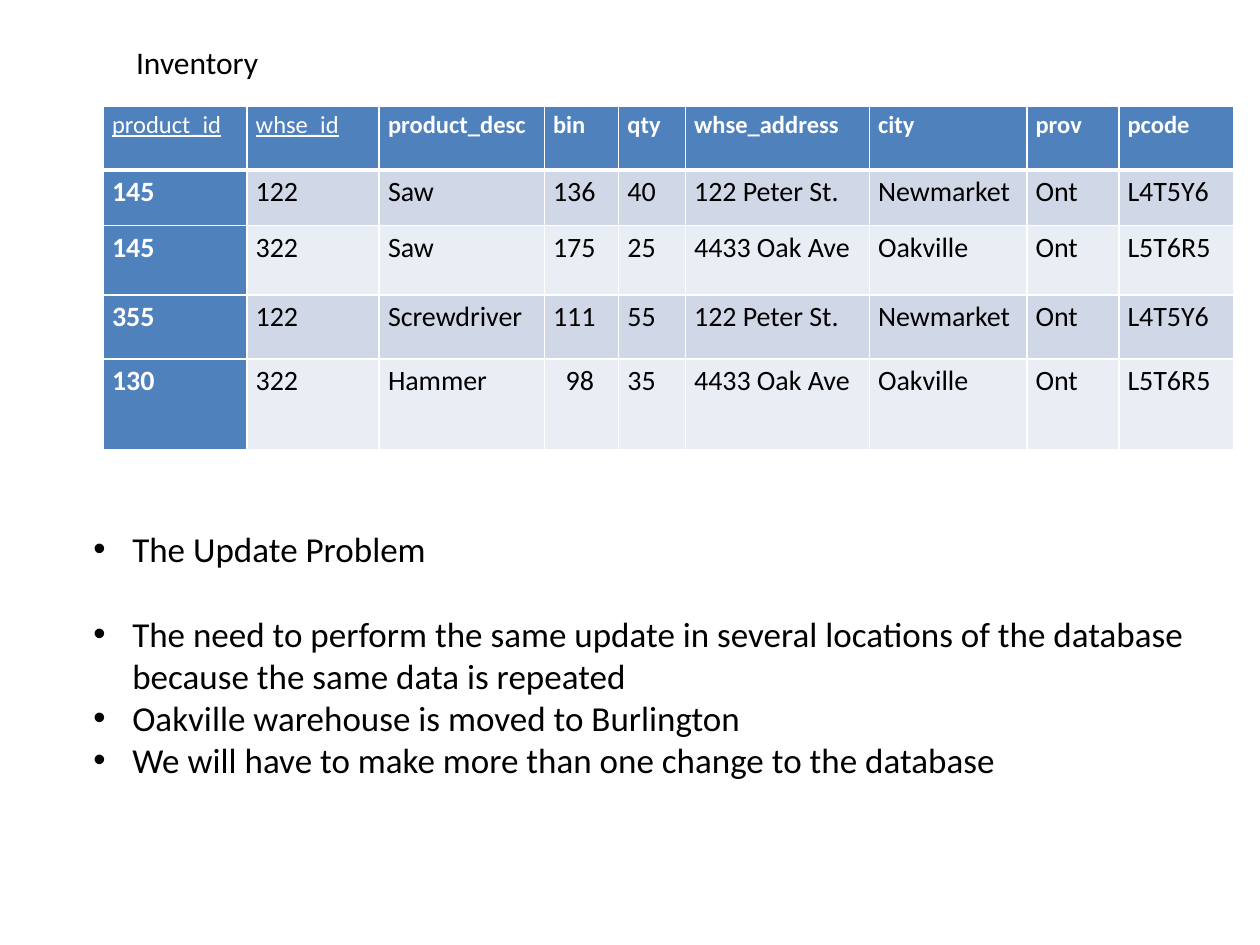
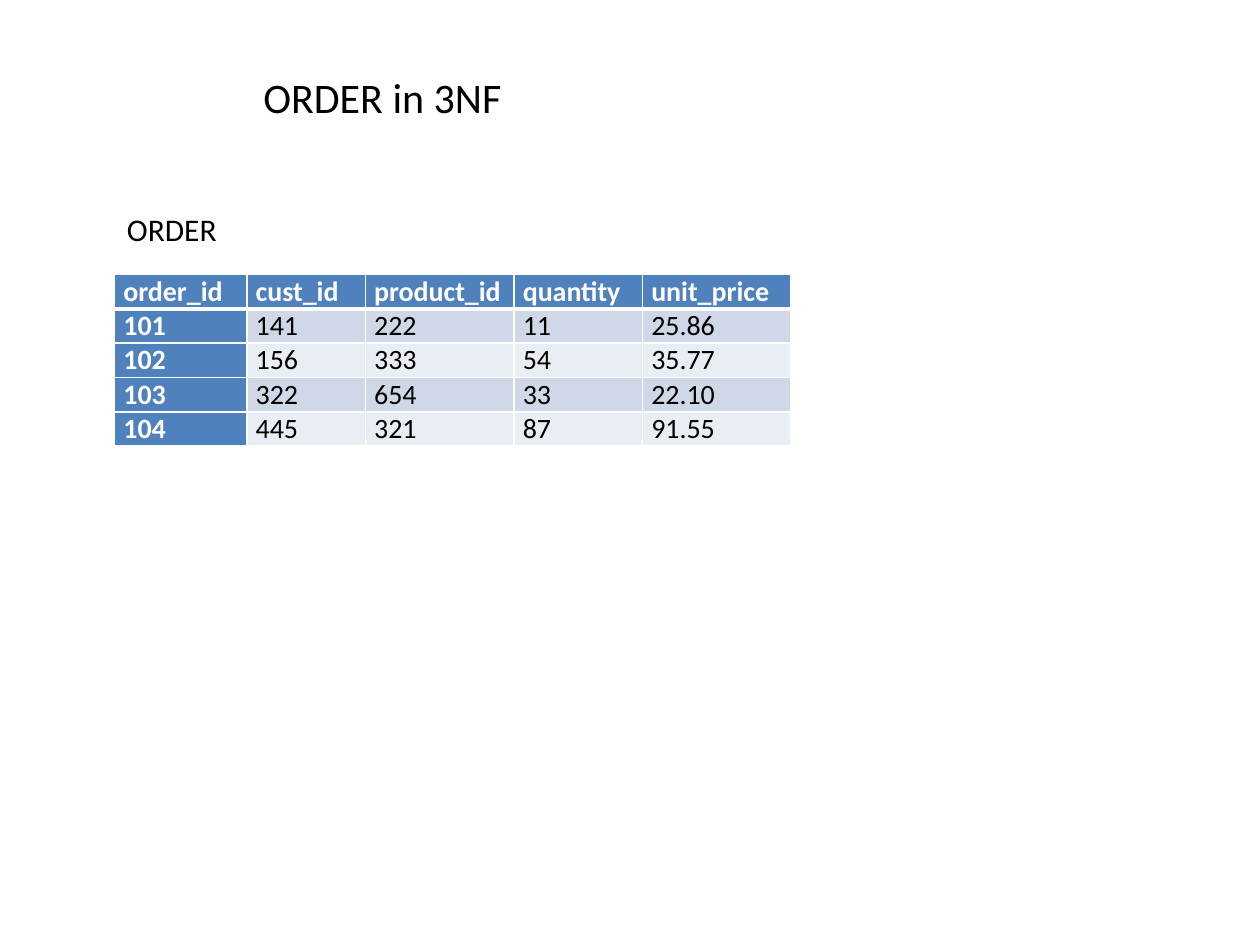
from lxml import etree
from pptx import Presentation
from pptx.dml.color import RGBColor
from pptx.enum.text import MSO_ANCHOR, MSO_AUTO_SIZE, PP_ALIGN
from pptx.oxml.ns import qn
from pptx.util import Inches, Pt

FONT = "Calibri"
BLACK, WHITE, BLUE = "000000", "FFFFFF", "4F81BD"
BANDS = ["D0D8E8", "E9EDF4"]

INVENTORY = dict(
    at=(0.82, 0.84),
    widths=[1.14, 1.05, 1.31, 0.59, 0.53, 1.46, 1.25, 0.73, 0.91],
    heights=[0.51, 0.44, 0.55, 0.51, 0.72],
    head_size=14, spacing=1.15, keys=["product_id", "whse_id"],
    indents={"98": 0.1},
    rows=[
        ["product_id", "whse_id", "product_desc", "bin", "qty",
         "whse_address", "city", "prov", "pcode"],
        ["145", "122", "Saw", "136", "40", "122 Peter St.", "Newmarket", "Ont", "L4T5Y6"],
        ["145", "322", "Saw", "175", "25", "4433 Oak Ave", "Oakville", "Ont", "L5T6R5"],
        ["355", "122", "Screwdriver", "111", "55", "122 Peter St.", "Newmarket", "Ont", "L4T5Y6"],
        ["130", "322", "Hammer", "98", "35", "4433 Oak Ave", "Oakville", "Ont", "L5T6R5"],
    ])

ORDER = dict(
    at=(0.91, 2.18),
    widths=[1.05, 0.94, 1.18, 1.02, 1.18],
    heights=[1.33 / 5] * 5,
    head_size=16, spacing=1, keys=[], indents={},
    rows=[
        ["order_id", "cust_id", "product_id", "quantity", "unit_price"],
        ["101", "141", "222", "11", "25.86"],
        ["102", "156", "333", "54", "35.77"],
        ["103", "322", "654", "33", "22.10"],
        ["104", "445", "321", "87", "91.55"],
    ])

UPDATE_PROBLEM = [
    ("The Update Problem", 0),
    ("The need to perform the same update in several locations of the database "
     "because the same data is repeated", 24),
    ("Oakville warehouse is moved to Burlington", 0),
    ("We will have to make more than one change to the database", 0),
]


def rgb(color):
    return RGBColor.from_string(color)


def add_run(p, text, size, color=BLACK, bold=False, underline=False):
    r = p.add_run()
    r.text = text
    f = r.font
    f.name, f.size, f.bold, f.underline = FONT, Pt(size), bold, underline
    f.color.rgb = rgb(color)


def place(sp, at, wrap=True, anchor=MSO_ANCHOR.TOP):
    sp.left, sp.top, sp.width, sp.height = map(Inches, at)
    tf = sp.text_frame
    tf.word_wrap, tf.vertical_anchor = wrap, anchor
    tf.auto_size = MSO_AUTO_SIZE.NONE
    return tf


def set_title(s, text, at, size):
    p = place(s.shapes.title, at, wrap=False).paragraphs[0]
    p.alignment = PP_ALIGN.LEFT
    add_run(p, text, size)


def set_bullets(sp, items, at, size):
    tf = place(sp, at)
    for i, (text, before) in enumerate(items):
        p = tf.add_paragraph() if i else tf.paragraphs[0]
        pPr = p._p.get_or_add_pPr()
        pPr.set("marL", str(Inches(0.31)))
        pPr.set("indent", str(Inches(-0.31)))
        etree.SubElement(pPr, qn("a:buFont"), typeface="Arial")
        etree.SubElement(pPr, qn("a:buChar"), char="•")
        p.space_before = Pt(before)
        add_run(p, text, size)


def set_borders(cell, top, bottom):
    tcPr = cell._tc.get_or_add_tcPr()
    for side, width in (("L", 1), ("R", 1), ("T", top), ("B", bottom)):
        ln = etree.SubElement(tcPr, qn(f"a:ln{side}"), w=str(Pt(width)))
        fill = etree.SubElement(ln, qn("a:solidFill"))
        etree.SubElement(fill, qn("a:srgbClr"), val=WHITE)


def add_table(s, data):
    rows, widths, heights = data["rows"], data["widths"], data["heights"]
    x, y = data["at"]
    table = s.shapes.add_table(len(rows), len(widths), Inches(x), Inches(y),
                               Inches(sum(widths)), Inches(sum(heights))).table
    table.first_col = True
    for col, width in zip(table.columns, widths):
        col.width = Inches(width)
    for row, height in zip(table.rows, heights):
        row.height = Inches(height)
    for i, values in enumerate(rows):
        for j, text in enumerate(values):
            cell = table.cell(i, j)
            head = i == 0
            strong = head or j == 0
            key = head and text in data["keys"]
            set_borders(cell, 3 if i == 1 else 1, 3 if head else 1)
            cell.fill.solid()
            cell.fill.fore_color.rgb = rgb(BLUE if strong else BANDS[(i - 1) % 2])
            cell.margin_left = cell.margin_right = Inches(0.07)
            cell.margin_top = cell.margin_bottom = 0
            p = cell.text_frame.paragraphs[0]
            p.line_spacing = data["spacing"]
            if text in data["indents"]:
                p._p.get_or_add_pPr().set("marL", str(Inches(data["indents"][text])))
            add_run(p, text, data["head_size"] if head else 16,
                    WHITE if strong else BLACK, strong and not key, key)


def main():
    prs = Presentation()
    prs.slide_width, prs.slide_height = Inches(10), Inches(7.5)

    s = prs.slides.add_slide(prs.slide_layouts[1])
    add_table(s, INVENTORY)
    set_bullets(s.placeholders[1], UPDATE_PROBLEM, (0.64, 4.14, 9.33, 2.12), 20)
    set_title(s, "Inventory", (0.98, 0.29, 1.18, 0.4), 18)

    s = prs.slides.add_slide(prs.slide_layouts[5])
    add_table(s, ORDER)
    label = s.shapes.add_textbox(0, 0, 0, 0)
    tf = place(label, (0.91, 1.62, 1.1, 0.4), anchor=MSO_ANCHOR.MIDDLE)
    add_run(tf.paragraphs[0], "ORDER", 18)
    set_title(s, "ORDER in 3NF", (1.99, 0.52, 2.11, 0.5), 24)

    prs.save("out.pptx")


if __name__ == "__main__":
    main()
